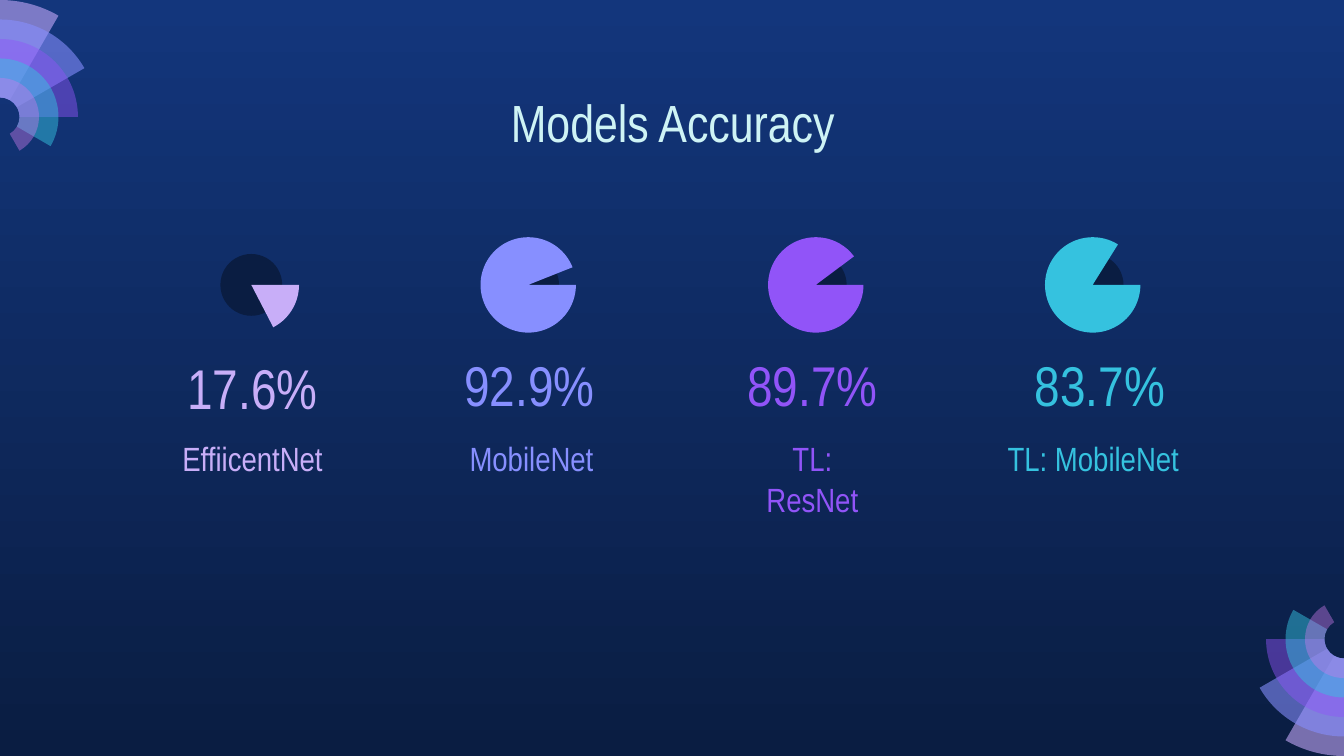
from dataclasses import dataclass
from math import cos, radians, sin, tan

from lxml.etree import SubElement
from pptx import Presentation
from pptx.dml.color import RGBColor
from pptx.enum.shapes import MSO_SHAPE
from pptx.enum.text import MSO_ANCHOR, PP_ALIGN
from pptx.oxml.ns import qn
from pptx.util import Inches, Pt


@dataclass(frozen=True)
class Theme:
    font: str = "Arial Narrow"
    top: str = "13367C"
    navy: str = "0A1D42"
    title: str = "CEF3F5"
    lilac: str = "C8AEF8"
    blue: str = "878FFF"
    violet: str = "9154F8"
    cyan: str = "35C2DF"
    title_size: int = 28
    value_size: int = 30
    label_size: int = 18


@dataclass(frozen=True)
class Model:
    name: str
    value: str
    color: str
    end_angle: float
    center: float
    value_box: tuple
    label_box: tuple


THEME = Theme()
WIDTH, HEIGHT = 10, 5.625
PIE_MIDDLE = 2.12
PIE_SIZE, DISC_SIZE = 0.71, 0.46
RING = 0.145
FAN_RINGS = (
    ("C8ACFD", 58),
    (THEME.blue, 58),
    (THEME.violet, 46),
    (THEME.cyan, 49),
    ("CA7BEB", 42),
)
MODELS = (
    Model("EffiicentNet", "17.6%", THEME.lilac, 62.65, 1.87,
          (1.21, 2.69, 1.34, 0.54), (1.2, 3.16, 1.36, 0.52)),
    Model("MobileNet", "92.9%", THEME.blue, 338.33, 3.93,
          (3.27, 2.67, 1.34, 0.54), (3.34, 3.16, 1.23, 0.52)),
    Model("TL: ResNet", "89.7%", THEME.violet, 323.32, 6.07,
          (5.27, 2.67, 1.55, 0.54), (5.43, 3.16, 1.23, 0.52)),
    Model("TL: MobileNet", "83.7%", THEME.cyan, 301.99, 8.13,
          (7.48, 2.67, 1.41, 0.54), (7.36, 3.16, 1.55, 0.52)),
)


def paint(sp, color, opacity=100):
    sp.shadow.inherit = False
    sp.fill.solid()
    sp.fill.fore_color.rgb = RGBColor.from_string(color)
    sp.line.fill.background()
    if opacity < 100:
        clr = sp._element.spPr.find(f"{qn('a:solidFill')}/{qn('a:srgbClr')}")
        SubElement(clr, qn("a:alpha"), val=str(opacity * 1000))


def set_background(s):
    fill = s.background.fill
    fill.gradient()
    fill.gradient_angle = 270
    for stop, color in zip(fill.gradient_stops, (THEME.top, THEME.navy)):
        stop.color.rgb = RGBColor.from_string(color)


def arc_points(cx, cy, radius, angles):
    def at(angle, pull=0):
        a = radians(angle)
        return (Inches(cx + radius * (sin(a) + pull * cos(a))),
                Inches(cy - radius * (cos(a) - pull * sin(a))))

    points = [at(angles[0])]
    for a, b in zip(angles, angles[1:]):
        pull = 4 / 3 * tan(radians(b - a) / 4)
        points += [at(a, pull), at(b, -pull), at(b)]
    return points


def curve_lines(sp, straight):
    outline = sp._element.spPr.find(f".//{qn('a:path')}")
    lines = [line for i, line in enumerate(outline.findall(qn("a:lnTo"))) if i != straight]
    for i in range(0, len(lines) - len(lines) % 3, 3):
        curve = SubElement(outline, qn("a:cubicBezTo"))
        lines[i].addprevious(curve)
        for line in lines[i:i + 3]:
            curve.append(line[0])
            outline.remove(line)


def add_fan(s, cx, cy, turn):
    for i, (color, opacity) in enumerate(FAN_RINGS):
        sweep = 30 * (i + 1)
        angles = [turn + a for a in (0, 90, sweep) if a in (0, sweep) or a < sweep]
        if sweep == 90:
            angles = [turn, turn + sweep]
        outer = arc_points(cx, cy, RING * (6 - i), angles[::-1])
        inner = arc_points(cx, cy, RING, angles)
        builder = s.shapes.build_freeform(*outer[0])
        builder.add_line_segments(outer[1:] + inner, close=True)
        sp = builder.convert_to_shape()
        curve_lines(sp, straight=len(outer) - 1)
        paint(sp, color, opacity)


def add_round(s, kind, center, size, color):
    sp = s.shapes.add_shape(kind, Inches(center - size / 2), Inches(PIE_MIDDLE - size / 2),
                            Inches(size), Inches(size))
    paint(sp, color)
    return sp


def add_pie(s, model):
    pie = add_round(s, MSO_SHAPE.PIE, model.center, PIE_SIZE, model.color)
    pie.adjustments[0] = 0
    pie.adjustments[1] = model.end_angle * 0.6


def add_text(s, text, box, size, color, anchor=MSO_ANCHOR.TOP):
    tf = s.shapes.add_textbox(*map(Inches, box)).text_frame
    tf.word_wrap = True
    tf.vertical_anchor = anchor
    tf.margin_left = tf.margin_right = tf.margin_top = tf.margin_bottom = Inches(0.1)
    tf.text = text
    p = tf.paragraphs[0]
    p.alignment = PP_ALIGN.CENTER
    font = p.runs[0].font
    font.name = THEME.font
    font.size = Pt(size)
    font.color.rgb = RGBColor.from_string(color)


def main():
    prs = Presentation()
    prs.slide_width, prs.slide_height = Inches(WIDTH), Inches(HEIGHT)
    s = prs.slides.add_slide(prs.slide_layouts[6])
    set_background(s)
    fan_radius = 6 * RING
    add_fan(s, WIDTH, HEIGHT - fan_radius, 180)
    add_fan(s, 0, fan_radius, 0)
    for model in MODELS:
        add_round(s, MSO_SHAPE.OVAL, model.center, DISC_SIZE, THEME.navy)
    add_text(s, "Models Accuracy", (0.79, 0.57, 8.43, 0.63), THEME.title_size, THEME.title)
    for model in MODELS:
        add_pie(s, model)
    for model in MODELS:
        add_text(s, model.value, model.value_box, THEME.value_size, model.color,
                 MSO_ANCHOR.BOTTOM)
    for model in MODELS:
        add_text(s, model.name, model.label_box, THEME.label_size, model.color)
    prs.save("out.pptx")


if __name__ == "__main__":
    main()
